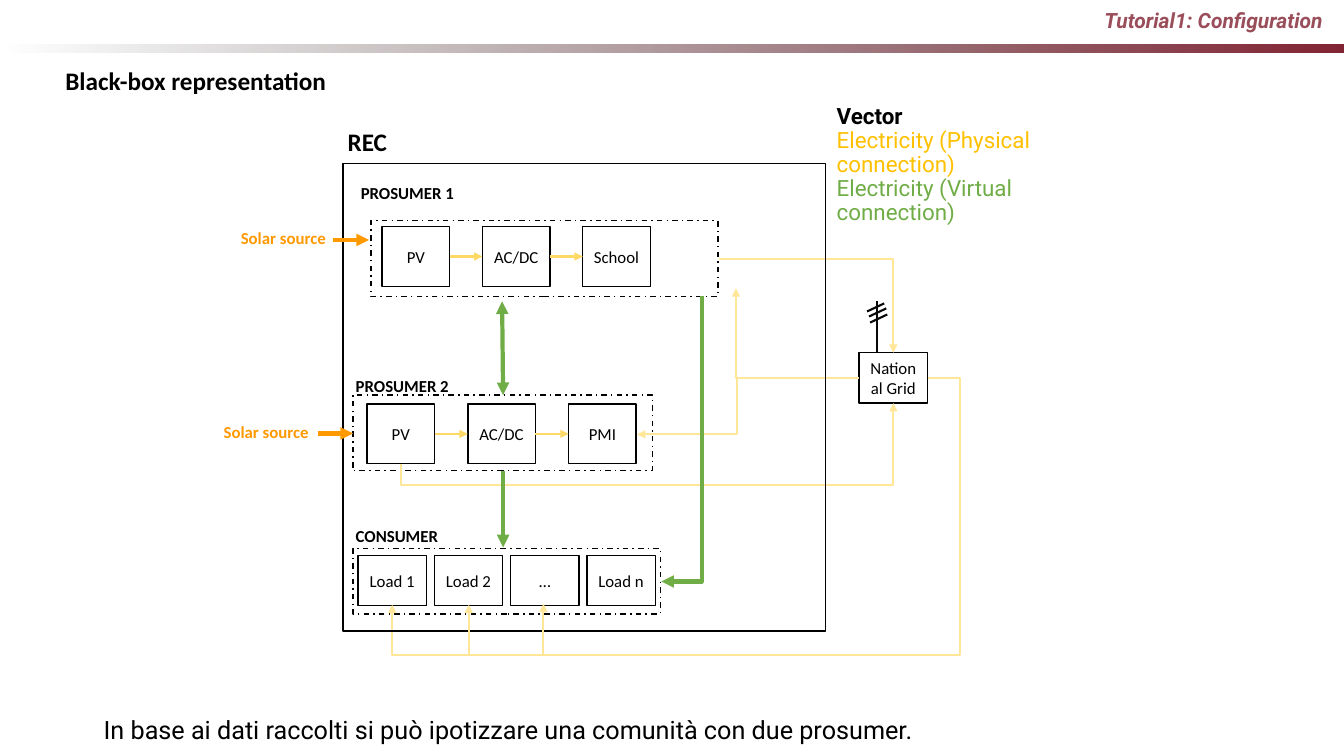
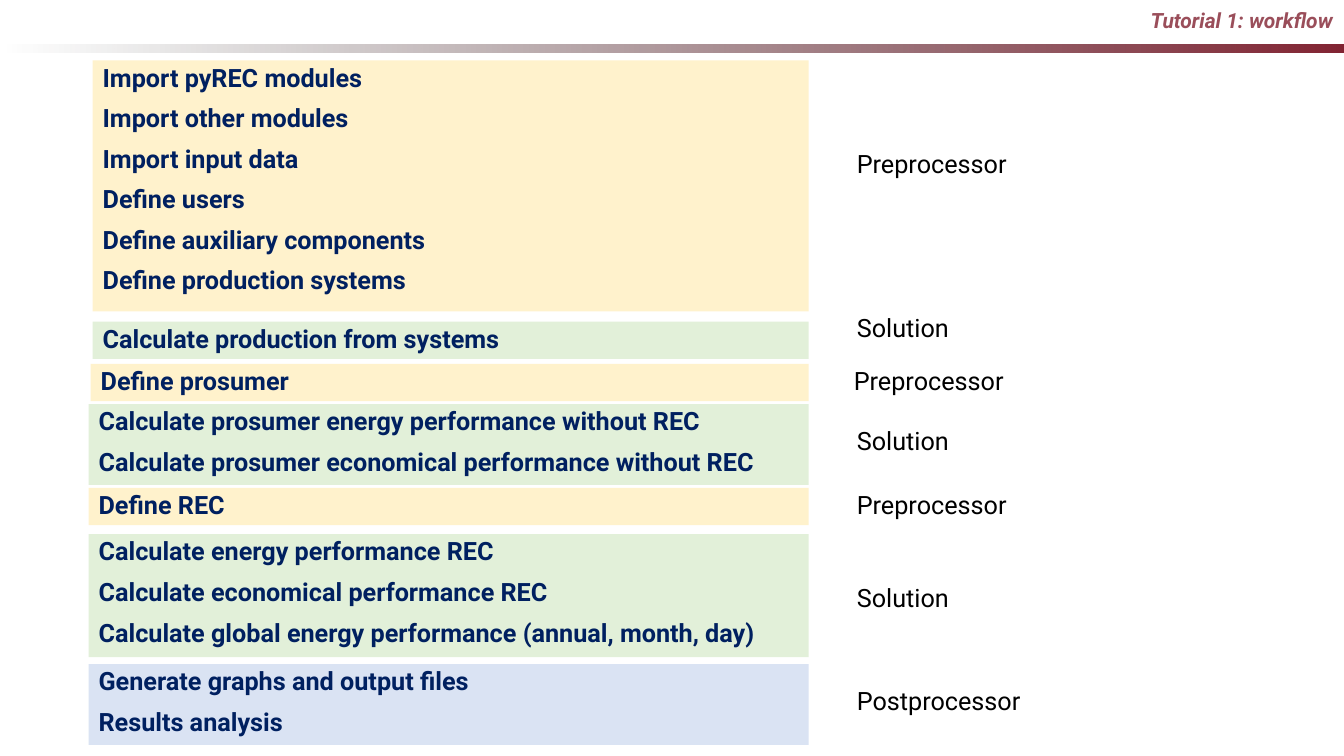
"""Two tutorial slides: a community black-box diagram and its workflow."""
from lxml.etree import SubElement
from pptx import Presentation
from pptx.dml.color import RGBColor
from pptx.enum.dml import MSO_LINE
from pptx.enum.shapes import MSO_CONNECTOR, MSO_SHAPE
from pptx.enum.text import MSO_ANCHOR, MSO_AUTO_SIZE, PP_ALIGN
from pptx.oxml.ns import qn
from pptx.util import Emu, Pt

PX = 9144
COLORS = {
    "black": "000000", "white": "FFFFFF", "mast": "080808",
    "title": "9A4E5A", "band": "822433", "band_end": "383838",
    "solar": "FF9900", "inner": "FFD966", "grid": "FFE699",
    "physical": "FFC000", "virtual": "70AD47", "step": "002060",
    "Preprocessor": "FFF2CC", "Solution": "E2F0D9", "Postprocessor": "DAE3F3",
}
TAIL, BOTH, HEAD, PLAIN = ("tailEnd",), ("headEnd", "tailEnd"), ("headEnd",), ()

# fmt: off
CLUSTERS = [
    {"name": "PROSUMER 1", "caption": (348, 176, 167, 30), "frame": (368, 219, 344, 75),
     "items": ["PV", "AC/DC", "School"], "span": (379, 578), "box": (225, 67, 59), "linked": True},
    {"name": "PROSUMER 2", "caption": (343, 368, 167, 26), "frame": (350, 392, 297, 75),
     "items": ["PV", "AC/DC", "PMI"], "span": (364, 564), "box": (401, 67, 59), "linked": True},
    {"name": "CONSUMER", "caption": (343, 517, 167, 26), "frame": (350, 544, 305, 65),
     "items": ["Load 1", "Load 2", "…", "Load n"], "span": (355, 582), "box": (551, 68, 50),
     "linked": False},
]
GRID_BOX = (852, 350, 68, 50)
REC_FRAME = (340, 162, 479, 464)
ELBOWS = [
    ((713, 257), (886, 350), "bentConnector2", (), False, "grid", 1.5, TAIL),
    ((852, 375), (730, 286), "bentConnector2", (), False, "grid", 1.5, TAIL),
    ((398, 460), (886, 400), "bentConnector3", (-0.36,), True, "grid", 1.5, TAIL),
    ((852, 375), (632, 431), "bentConnector3", (0.55,), False, "grid", 1.5, TAIL),
    ((920, 375), (389, 600), "bentConnector4", (-0.06, 1.22), False, "grid", 1.5, TAIL),
    ((656, 577), (696, 294), "bentConnector2", (), False, "virtual", 3, HEAD),
]
LINES = [
    ((499, 392), (498, 299), "virtual", 3, BOTH),
    ((499, 467), (499, 543), "virtual", 3, TAIL),
    ((465, 650), (465, 600), "grid", 1.5, TAIL),
    ((539, 649), (539, 599), "grid", 1.5, TAIL),
    ((870, 299), (870, 349), "mast", 1.5, PLAIN),
    ((880, 312), (863, 320), "mast", 1.5, PLAIN),
    ((877, 301), (860, 309), "mast", 1.5, PLAIN),
    ((879, 306), (862, 314), "mast", 1.5, PLAIN),
    ((330, 238), (366, 238), "solar", 3, TAIL),
    ((315, 430), (350, 430), "solar", 3, TAIL),
]
SOLAR_LABELS = [(229, 221, 167, 26), (212, 413, 167, 26)]
LEGEND = [("Vector", "black", True), ("Electricity (Physical connection)", "physical", False),
          ("Electricity (Virtual connection)", "virtual", False)]
SUMMARY = "In base ai dati raccolti si può ipotizzare una comunità con due prosumer."

BLOCK_RIGHT = 802
BLOCKS = [
    ("Preprocessor", (92, 60, 249), (840, 150),
     ["Import pyREC modules", "Import other modules", "Import input data", "Define users",
      "Define auxiliary components", "Define production systems"]),
    ("Solution", (92, 319, 37), (840, 313), ["Calculate production from systems"]),
    ("Preprocessor", (90, 361, 37), (837, 366), ["Define prosumer"]),
    ("Solution", (88, 401, 80), (840, 425),
     ["Calculate prosumer energy performance without REC",
      "Calculate prosumer economical performance without REC"]),
    ("Preprocessor", (88, 484, 37), (840, 489), ["Define REC"]),
    ("Solution", (88, 530, 122), (840, 581),
     ["Calculate energy performance REC", "Calculate economical performance REC",
      "Calculate global energy performance (annual, month, day)"]),
    ("Postprocessor", (88, 659, 80), (840, 683),
     ["Generate graphs and output files", "Results analysis"]),
]
# fmt: on


def px(*values):
    return [Emu(round(v * PX)) for v in values]


def rgb(name):
    return RGBColor.from_string(COLORS[name])


def style(p, size, color="black", font="Calibri", bold=False, align=PP_ALIGN.LEFT, spacing=None):
    p.font.size, p.font.name, p.font.bold = Pt(size), font, bold
    p.font.color.rgb = rgb(color)
    p.alignment = align
    if spacing:
        p.line_spacing = spacing


def write(sp, lines, anchor=MSO_ANCHOR.TOP, gap=0, **look):
    tf = sp.text_frame
    tf.word_wrap, tf.auto_size, tf.vertical_anchor = True, MSO_AUTO_SIZE.NONE, anchor
    for i, line in enumerate(lines):
        p = tf.add_paragraph() if i else tf.paragraphs[0]
        p.text = line
        p.space_before = Pt(gap if i else 0)
        style(p, **look)
    return tf


def label(slide, at, text, **look):
    return write(slide.shapes.add_textbox(*px(*at)), [text], **look)


def rect(slide, at, fill=None, line=None, dash=None):
    sp = slide.shapes.add_shape(MSO_SHAPE.RECTANGLE, *px(*at))
    sp.shadow.inherit = False
    if fill:
        sp.fill.solid()
        sp.fill.fore_color.rgb = rgb(fill)
    else:
        sp.fill.background()
    if line:
        sp.line.color.rgb, sp.line.width = rgb(line), Pt(1)
        sp.line.dash_style = dash
    else:
        sp.line.fill.background()
    return sp


def unit(slide, at, text):
    write(rect(slide, at, "white", "black"), [text], MSO_ANCHOR.MIDDLE,
          size=12, align=PP_ALIGN.CENTER)


def connect(slide, begin, end, color, width, ends, kind=MSO_CONNECTOR.STRAIGHT):
    cx = slide.shapes.add_connector(kind, *px(*begin, *end))
    cx.line.color.rgb, cx.line.width = rgb(color), Pt(width)
    props = cx.element.spPr
    for tag in ends:
        SubElement(props.find(qn("a:ln")), qn(f"a:{tag}"), type="triangle")
    SubElement(props, qn("a:effectLst"))
    return cx


def elbow(slide, begin, end, preset, bends, upright, color, width, ends):
    if upright:
        mx, my = (begin[0] + end[0]) / 2, (begin[1] + end[1]) / 2
        begin, end = [(mx + y - my, my - x + mx) for x, y in (begin, end)]
    cx = connect(slide, begin, end, color, width, ends, MSO_CONNECTOR.ELBOW)
    if upright:
        cx.rotation = 90
    geom = cx.element.spPr.find(qn("a:prstGeom"))
    geom.set("prst", preset)
    for i, bend in enumerate(bends, 1):
        SubElement(geom.find(qn("a:avLst")), qn("a:gd"),
                   name=f"adj{i}", fmla=f"val {round(bend * 100000)}")


def new_slide(prs, title, left):
    slide = prs.slides.add_slide(prs.slide_layouts[5])
    band = rect(slide, (0, 44, 1333, 8))
    band.fill.gradient()
    band.fill.gradient_angle = 180
    for stop, name in zip(band.fill.gradient_stops, ("band", "band_end")):
        stop.color.rgb = rgb(name)
    clear = list(band.element.iter(qn("a:srgbClr")))[1]
    SubElement(clear, qn("a:alpha"), val="0")
    sp = slide.shapes.title
    sp.left, sp.top, sp.width, sp.height = px(left, 5, 1073, 41)
    tf = write(sp, [title], size=15, color="title", font="Roboto", bold=True,
               align=PP_ALIGN.RIGHT, spacing=0.9)
    tf.paragraphs[0].font.italic = True
    return slide


def draw_cluster(slide, cluster):
    top, w, h = cluster["box"]
    first, last = cluster["span"]
    step = (last - first) / (len(cluster["items"]) - 1)
    for i, text in enumerate(cluster["items"]):
        x, mid = first + i * step, top + h / 2
        unit(slide, (x, top, w, h), text)
        if i and cluster["linked"]:
            connect(slide, (x - step + w, mid), (x, mid), "inner", 1.5, TAIL)
    rect(slide, cluster["frame"], line="black", dash=MSO_LINE.DASH_DOT)
    label(slide, cluster["caption"], cluster["name"], size=12, bold=True)


def configuration(prs):
    slide = new_slide(prs, "Tutorial1: Configuration", 249)
    label(slide, (55, 60, 334, 41), "Black-box representation", size=18, bold=True)
    label(slide, (335, 120, 167, 35), "REC", size=18, bold=True)
    for cluster in CLUSTERS:
        draw_cluster(slide, cluster)
    unit(slide, GRID_BOX, "National Grid")
    for route in ELBOWS:
        elbow(slide, *route)
    rect(slide, REC_FRAME, line="black")
    for line in LINES:
        connect(slide, *line)
    for at in SOLAR_LABELS:
        label(slide, at, "Solar source", size=12, color="solar", bold=True)
    legend = slide.shapes.add_textbox(*px(820, 123, 289, 82))
    tf = write(legend, [text for text, _, _ in LEGEND], MSO_ANCHOR.MIDDLE, size=16)
    for p, (_, color, bold) in zip(tf.paragraphs, LEGEND):
        style(p, 16, color, "Roboto", bold, spacing=0.9)
    label(slide, (93, 704, 976, 41), SUMMARY, size=18, font="Roboto")


def workflow(prs):
    slide = new_slide(prs, "Tutorial 1: workflow", 259)
    for phase, (left, top, height), corner, steps in BLOCKS:
        block = rect(slide, (left, top, BLOCK_RIGHT - left, height), phase)
        write(block, steps, gap=9.5, size=18, color="step", font="Roboto", bold=True, spacing=0.9)
        label(slide, (*corner, 307, 32), phase, size=18, font="Roboto", spacing=0.7)


def main():
    prs = Presentation()
    prs.slide_width, prs.slide_height = px(1333, 750)
    configuration(prs)
    workflow(prs)
    prs.save("out.pptx")


if __name__ == "__main__":
    main()
